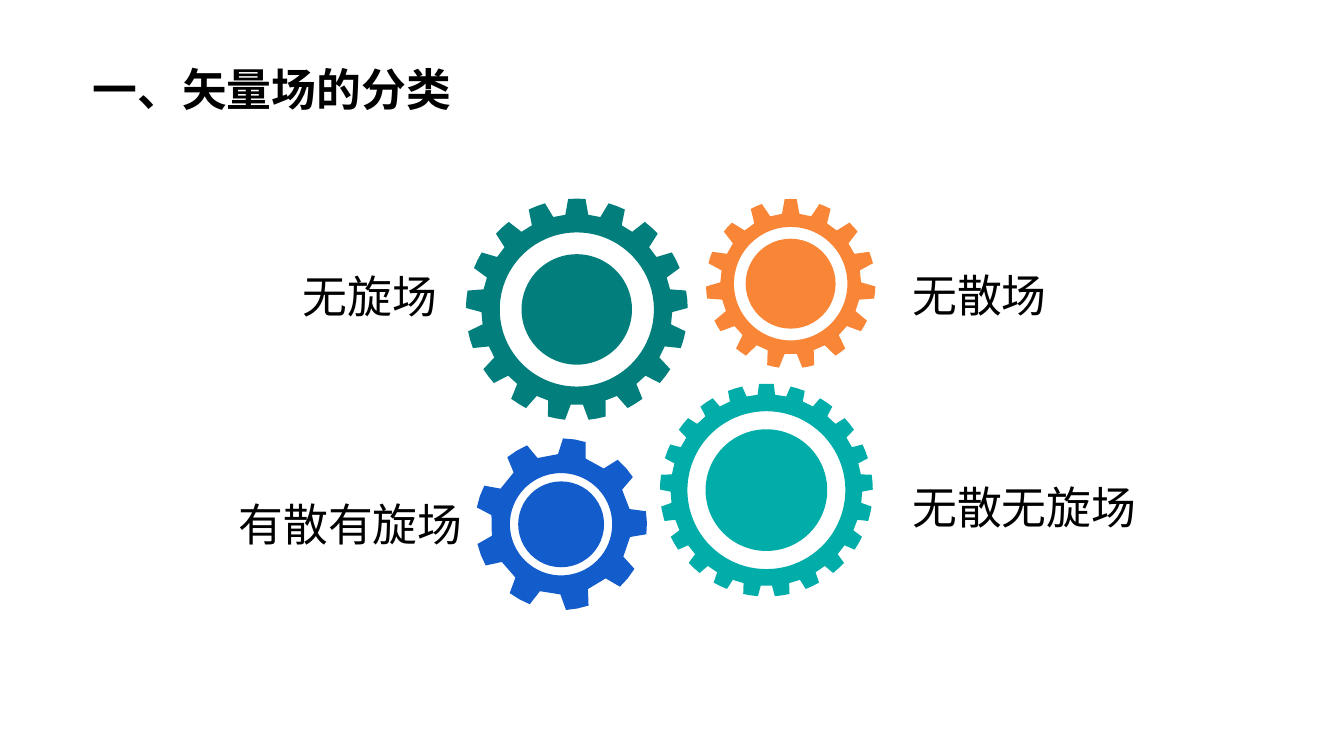
from math import cos, radians, sin
from lxml.etree import SubElement
from pptx import Presentation
from pptx.dml.color import RGBColor
from pptx.enum.shapes import MSO_SHAPE
from pptx.enum.text import MSO_AUTO_SIZE, PP_ALIGN
from pptx.oxml.ns import qn
from pptx.util import Pt

HUES = {"ink": "000000", "aqua": "00ADA9", "blue": "125CCB",
        "orange": "F98637", "teal": "027F7D"}
SANS = "Noto Sans CJK JP"


def ring(mid, spots):
    return [(Pt(mid[0] + rad * sin(radians(turn))),
             Pt(mid[1] - rad * cos(radians(turn)))) for rad, turn in spots]


class Deck:
    """Holds the style and the current slide, and draws each kind of element."""

    def __init__(self):
        self.show = Presentation()
        self.show.slide_width, self.show.slide_height = Pt(720), Pt(405)
        self.slide = self.show.slides.add_slide(self.show.slide_layouts[6])
        self.size = 24

    def paint(self, shape, hue):
        shape.shadow.inherit = False
        shape.fill.solid()
        shape.fill.fore_color.rgb = RGBColor.from_string(HUES[hue])
        shape.line.fill.background()

    def text(self, words, box, font=SANS, bold=False, align=PP_ALIGN.LEFT, gap=1.2):
        frame = self.slide.shapes.add_textbox(*map(Pt, box)).text_frame
        frame.word_wrap = True
        frame.auto_size = MSO_AUTO_SIZE.SHAPE_TO_FIT_TEXT
        para = frame.paragraphs[0]
        para.alignment, para.line_spacing = align, gap
        run = para.add_run()
        run.text = words
        run.font.size, run.font.bold, run.font.name = Pt(self.size), bold, font
        run.font.color.rgb = RGBColor.from_string(HUES["ink"])
        SubElement(run.font._element, qn("a:ea")).set("typeface", SANS)

    def gear(self, hue, mid, teeth, tip, root, hole, phase=0):
        (far, wide), (near, base) = tip, root
        rim = []
        for k in range(teeth):
            turn = phase + 360 * k / teeth
            rim += [(near, turn - base), (far, turn - wide), (far, turn),
                    (far, turn + wide), (near, turn + base)]
        edge = ring(mid, rim)
        bore = ring(mid, [(hole, -turn) for turn in range(0, 360, 4)])
        form = self.slide.shapes.build_freeform(*edge[0])
        form.add_line_segments(edge[1:])
        form.move_to(*bore[0])
        form.add_line_segments(bore[1:])
        self.paint(form.convert_to_shape(), hue)

    def disc(self, hue, mid, rad):
        box = (mid[0] - rad, mid[1] - rad, 2 * rad, 2 * rad)
        self.paint(self.slide.shapes.add_shape(MSO_SHAPE.OVAL, *map(Pt, box)), hue)


def main():
    deck = Deck()
    deck.text("一、矢量场的分类", (42.5, 15, 584, 45.4),
              font="Times New Roman", bold=True, gap=1.5)
    gears = [
        ("aqua", (410.6, 262.6), 21, (57, 4), (51.3, 5.2), 42.3, 0, 32.6),
        ("blue", (300.6, 280.9), 9, (46, 7.7), (37.6, 11.5), 27.4, 9, 23),
        ("orange", (423.6, 152), 15, (45.4, 4.1), (37.7, 7.1), 30.4, 0, 24.1),
        ("teal", (309, 165.8), 17, (59.4, 4.5), (51.1, 6.9), 41.3, 0, 29.6),
    ]
    for hue, mid, teeth, tip, root, hole, phase, core in gears:
        deck.gear(hue, mid, teeth, tip, root, hole, phase)
        deck.disc(hue, mid, core)
    labels = [
        ("无散场", (481.7, 134, 132.5, 40.3), PP_ALIGN.LEFT),
        ("无散无旋场", (481.7, 247.7, 150.5, 42.5), PP_ALIGN.LEFT),
        ("无旋场", (108.7, 134.6, 132.5, 40.3), PP_ALIGN.RIGHT),
        ("有散有旋场", (110.9, 257, 144, 42.5), PP_ALIGN.RIGHT),
    ]
    for words, box, align in labels:
        deck.text(words, box, align=align)
    deck.show.save("out.pptx")


if __name__ == "__main__":
    main()
